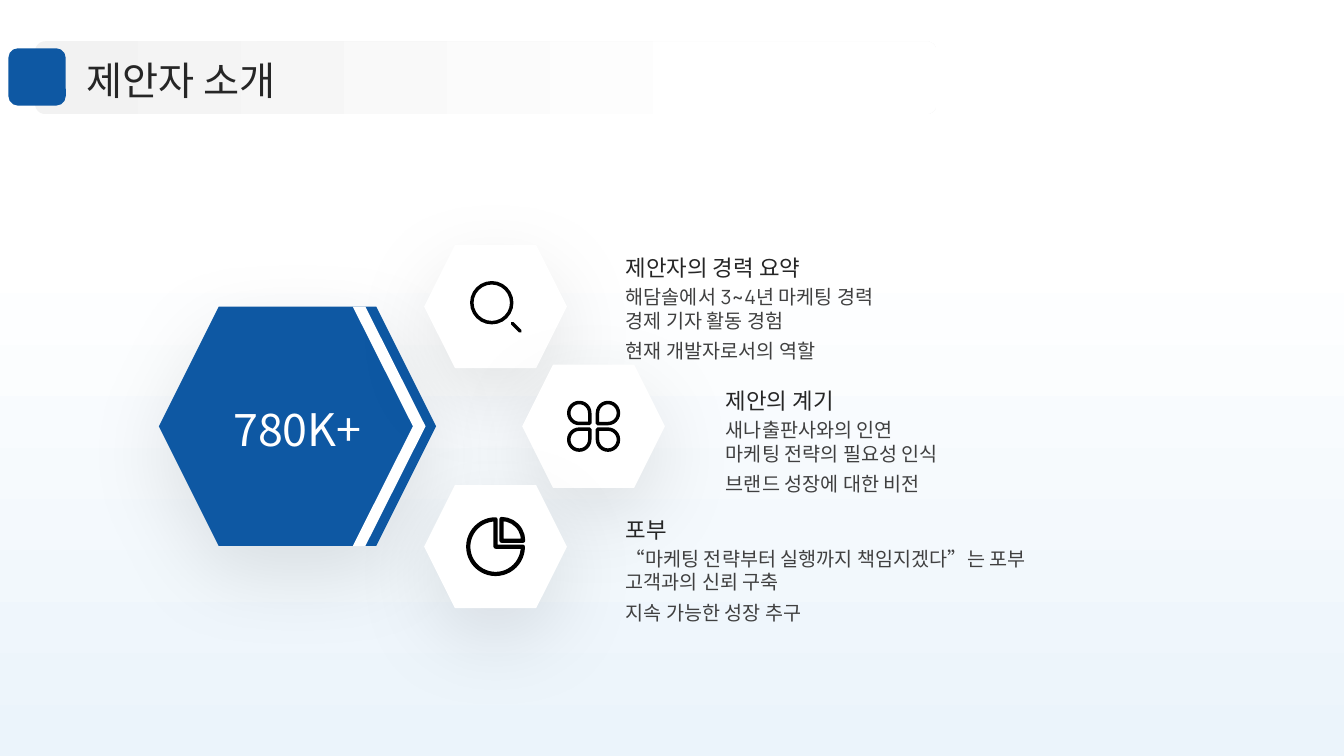
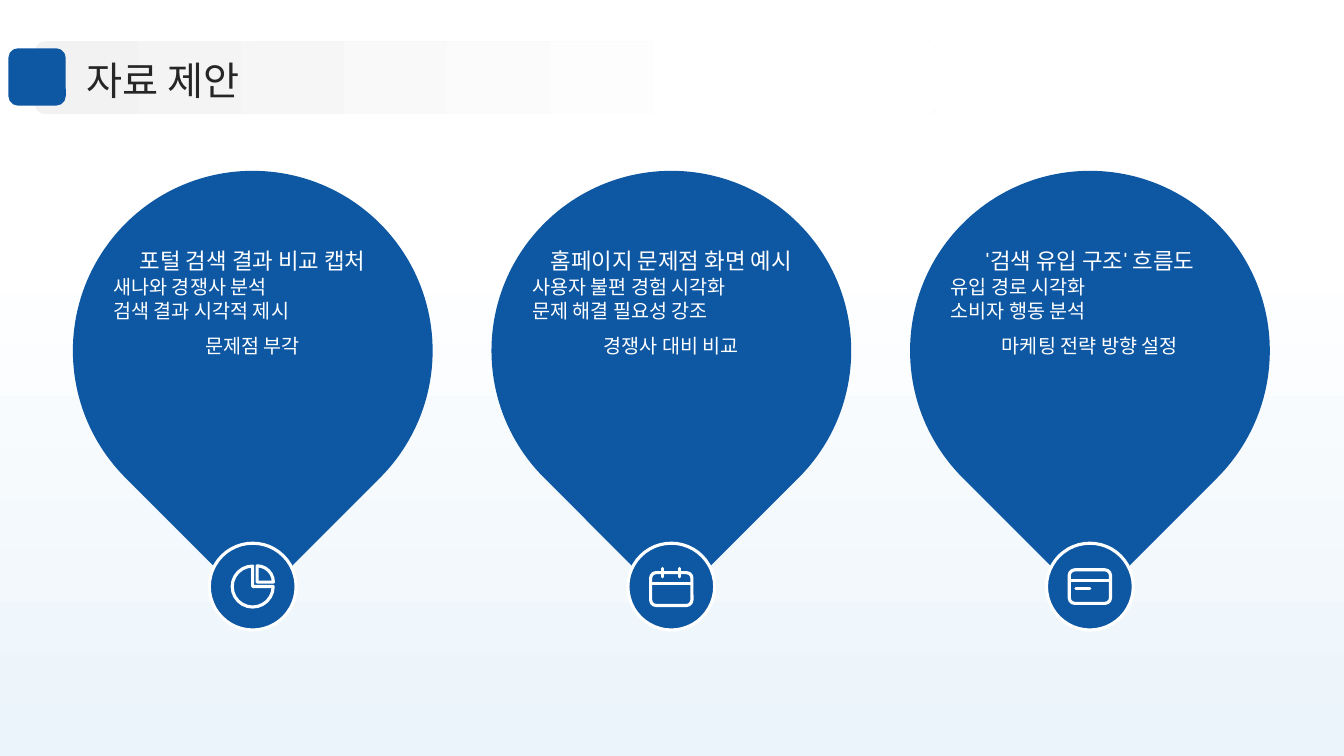
from copy import deepcopy
from functools import partial

from lxml import etree
from pptx import Presentation
from pptx.dml import color
from pptx.enum import shapes, text
from pptx.oxml import ns
from pptx.util import Pt

KIND = shapes.MSO_SHAPE
SIDE = text.PP_ALIGN
EDGE = text.MSO_ANCHOR
BLUE, WHITE, BLACK, DARK, GREY = "0E58A3", "FFFFFF", "000000", "262626", "404040"


def hue(code):
    """Turn a hex string into a colour."""
    return color.RGBColor.from_string(code)


def node(parent, tag, **attrs):
    """Add a drawing element with its attributes."""
    return etree.SubElement(parent, ns.qn(tag), {k: str(v) for k, v in attrs.items()})


def blend(fill, first, last, stop, angle):
    """Give a fill a two-colour gradient."""
    fill.gradient()
    fill.gradient_angle = angle
    for mark, code, place in zip(fill.gradient_stops, (first, last), (0, stop)):
        mark.color.rgb = hue(code)
        mark.position = place


def write(frame, words, size=14, tint=DARK, font="Manrope", align=SIDE.LEFT,
          gap=1.0, anchor=EDGE.TOP):
    """Fill a frame line by line; the last line takes the alignment and spacing."""
    frame.word_wrap = True
    frame.auto_size = text.MSO_AUTO_SIZE.NONE
    frame.vertical_anchor = anchor
    frame.margin_left = frame.margin_right = frame.margin_top = frame.margin_bottom = 0
    lines = words.split("\n")
    for i, line in enumerate(lines):
        last = i == len(lines) - 1
        para = frame.add_paragraph() if i else frame.paragraphs[0]
        props = para._p.get_or_add_pPr()
        props.set("marL", "0")
        props.set("indent", "0")
        node(props, "a:buNone")
        para.alignment = align if last else SIDE.LEFT
        para.line_spacing = gap if last else 1.0
        para.space_before = para.space_after = Pt(0)
        run = para.add_run()
        run.text = line
        run.font.name, run.font.size, run.font.bold = font, Pt(size), False
        run.font.color.rgb = hue(tint)


class Deck:
    """Hold the style and the current slide."""

    def __init__(self):
        """Set the page, the backdrop and the layout."""
        self.show = Presentation()
        self.show.slide_width, self.show.slide_height = Pt(960), Pt(540)
        blend(self.show.slide_master.background.fill, "EBF4FB", WHITE, 0.68, 90)
        self.base = self.show.slide_layouts[1]
        body = self.base.placeholders[1]._element
        for key in (22, 21):
            twin = deepcopy(body)
            twin.xpath(".//p:ph")[0].set("idx", str(key))
            twin.xpath(".//p:cNvPr")[0].set("id", str(key))
            body.addnext(twin)
        self.page = None

    def start(self, title):
        """Open a slide with its title."""
        first = self.page is None
        self.page = self.show.slides.add_slide(self.base)
        if first:
            self.band()
        head = self.page.shapes.title
        self.place(head, 62, 37, 840, 36)
        write(head.text_frame, title, size=28, gap=1.1, anchor=EDGE.MIDDLE)
        self.lists = [p for p in self.page.placeholders if p.placeholder_format.idx]

    def band(self):
        """Put the title band and its marker on the layout."""
        bar = self.form(KIND.ROUNDED_RECTANGLE, 25, 29.5, 644, 52, WHITE)
        bar.adjustments[0] = 0.14
        blend(bar.fill, "F2F2F2", WHITE, 0.8, 0)
        mark = self.form(KIND.ROUNDED_RECTANGLE, 6, 34.5, 41, 41, BLUE)
        for key, item in enumerate((mark, bar), 31):
            item._element.xpath(".//p:cNvPr")[0].set("id", str(key))
            self.base.shapes._spTree.insert(2, item._element)

    def place(self, item, x, y, w, h):
        """Move and size a shape."""
        item.left, item.top, item.width, item.height = Pt(x), Pt(y), Pt(w), Pt(h)

    def paint(self, item, fill=None, line=None, width=1):
        """Set fill and outline without a shadow."""
        item.shadow.inherit = False
        if fill:
            item.fill.solid()
            item.fill.fore_color.rgb = hue(fill)
        else:
            item.fill.background()
        if line:
            item.line.color.rgb = hue(line)
            item.line.width = Pt(width)
        else:
            item.line.fill.background()
        return item

    def form(self, kind, x, y, w, h, fill=None, line=None, width=1, turn=0):
        """Draw a preset shape."""
        item = self.page.shapes.add_shape(kind, Pt(x), Pt(y), Pt(w), Pt(h))
        item.rotation = turn
        return self.paint(item, fill, line, width)

    def hexa(self, x, y, w, h, fill):
        """Draw a hexagon with a soft shadow."""
        item = self.form(KIND.HEXAGON, x, y, w, h, fill)
        glow = item._element.spPr.find(ns.qn("a:effectLst"))
        cast = node(glow, "a:outerShdw", blurRad=Pt(60), dist=Pt(20), dir=5400000,
                    algn="t", rotWithShape=0)
        node(node(cast, "a:srgbClr", val=BLACK), "a:alpha", val=10000)
        return item

    def patch(self, spots, fill):
        """Draw a closed outline through points."""
        spots = [(Pt(x), Pt(y)) for x, y in spots]
        pen = self.page.shapes.build_freeform(*spots[0], scale=1.0)
        pen.add_line_segments(spots[1:], close=True)
        return self.paint(pen.convert_to_shape(), fill)

    def stroke(self, x1, y1, x2, y2, tint, width):
        """Draw a line with round ends."""
        item = self.page.shapes.add_connector(
            shapes.MSO_CONNECTOR.STRAIGHT, Pt(x1), Pt(y1), Pt(x2), Pt(y2))
        item.line.color.rgb = hue(tint)
        item.line.width = Pt(width)
        item.line._get_or_add_ln().set("cap", "rnd")
        node(item._element.spPr, "a:effectLst")

    def label(self, words, x, y, w, h, **style):
        """Add a text box."""
        box = self.page.shapes.add_textbox(Pt(x), Pt(y), Pt(w), Pt(h))
        write(box.text_frame, words, **style)

    def points(self, words, x, y, w, h, **style):
        """Fill the next list placeholder and bring it to the front."""
        item = self.lists.pop(0)
        self.place(item, x, y, w, h)
        write(item.text_frame, words, **style)
        self.page.shapes._spTree.append(item._element)

    def lens(self, x, y):
        """Draw a magnifier around a centre."""
        self.form(KIND.OVAL, x - 17, y - 17, 28.5, 28.5, line=BLACK, width=2.5)
        self.stroke(x + 12, y + 12, x + 17.5, y + 17.5, BLACK, 2.5)

    def clover(self, x, y):
        """Draw four petals around a centre."""
        for dx, dy, turn in ((-1, -1, 90), (1, -1, 180), (1, 1, 270), (-1, 1, 0)):
            self.form(KIND.TEAR, x + 10.25 * dx - 7.5, y + 9.5 * dy - 7.5, 15, 15,
                      line=BLACK, width=2.5, turn=turn)

    def chart(self, x, y, tint=WHITE, size=1.0):
        """Draw a pie icon around a centre."""
        for r, dx, ends in ((19.5, 0, (0, 162)), (15.5, 4.25, (162, 0))):
            r, dx = r * size, dx * size
            item = self.form(KIND.PIE, x + dx - r, y - dx - r, 2 * r, 2 * r,
                             line=tint, width=3 * size)
            item.adjustments[0], item.adjustments[1] = ends

    def dates(self, x, y):
        """Draw a calendar icon around a centre."""
        self.form(KIND.ROUNDED_RECTANGLE, x - 14.75, y - 10, 29.5, 23.5,
                  line=WHITE, width=2.25)
        self.stroke(x - 14, y - 2.5, x + 14, y - 2.5, WHITE, 2.25)
        for dx in (-6, 6):
            self.stroke(x + dx, y - 13, x + dx, y - 7, WHITE, 2.25)

    def card(self, x, y):
        """Draw a card icon around a centre."""
        self.form(KIND.ROUNDED_RECTANGLE, x - 14.75, y - 12, 29.5, 24,
                  line=WHITE, width=2.25)
        self.stroke(x - 14, y - 4.5, x + 14, y - 4.5, WHITE, 2.25)
        self.stroke(x - 10, y + 1.25, x, y + 1.25, WHITE, 2.25)


def intro(deck):
    """Build the slide on the proposer."""
    deck.start("제안자 소개")
    core = deck.hexa(113.5, 219, 198, 171, BLUE)
    write(core.text_frame, "780K+", size=32, tint=WHITE, font="Noto Sans CJK SC",
          align=SIDE.CENTER, gap=1.1, anchor=EDGE.MIDDLE)
    rows = (
        (303, 175, 447, 181.5, deck.lens, "제안자의 경력 요약",
         "해담솔에서 3~4년 마케팅 경력\n경제 기자 활동 경험\n현재 개발자로서의 역할"),
        (373, 260.5, 518.5, 276.5, deck.clover, "제안의 계기",
         "새나출판사와의 인연\n마케팅 전략의 필요성 인식\n브랜드 성장에 대한 비전"),
        (303, 346.5, 447, 368.5, partial(deck.chart, tint=BLACK), "포부",
         "“마케팅 전략부터 실행까지 책임지겠다”는 포부\n고객과의 신뢰 구축\n지속 가능한 성장 추구"),
    )
    for x, y, left, top, icon, head, body in rows:
        deck.hexa(x, y, 102, 88, WHITE)
        icon(x + 51, y + 44)
        deck.label(head, left, top, 362, 16, size=16)
        deck.points(body, left, top + 22, 362, 62.5, tint=GREY, gap=1.3)
    deck.patch([(261, 219), (252, 219), (295, 304.5), (252, 390), (261, 390),
                (304, 304.5)], WHITE)


def ideas(deck):
    """Build the slide on the proposed material."""
    deck.start("자료 제안")
    drops = (
        (deck.chart, "포털 검색 결과 비교 캡처",
         "새나와 경쟁사 분석\n검색 결과 시각적 제시\n문제점 부각"),
        (deck.dates, "홈페이지 문제점 화면 예시",
         "사용자 불편 경험 시각화\n문제 해결 필요성 강조\n경쟁사 대비 비교"),
        (deck.card, "'검색 유입 구조' 흐름도",
         "유입 경로 시각화\n소비자 행동 분석\n마케팅 전략 방향 설정"),
    )
    style = {"tint": WHITE, "align": SIDE.CENTER}
    for i, (icon, head, body) in enumerate(drops):
        mid = 180.5 + 299 * i
        deck.form(KIND.TEAR, mid - 128.5, 122, 257, 257, BLUE, turn=135)
        deck.form(KIND.OVAL, mid - 31, 388, 62, 62, BLUE, WHITE, 2.25)
        if icon == deck.chart:
            icon(mid, 419, size=0.75)
        else:
            icon(mid, 419)
        deck.points(body, mid - 99.5, 196.5, 199, 137.5, gap=1.5, **style)
        deck.label(head, mid - 99.5, 167, 199, 29, size=16, gap=1.3,
                   anchor=EDGE.BOTTOM, **style)


def main():
    """Build and save the deck."""
    deck = Deck()
    intro(deck)
    ideas(deck)
    deck.show.save("out.pptx")


if __name__ == "__main__":
    main()
